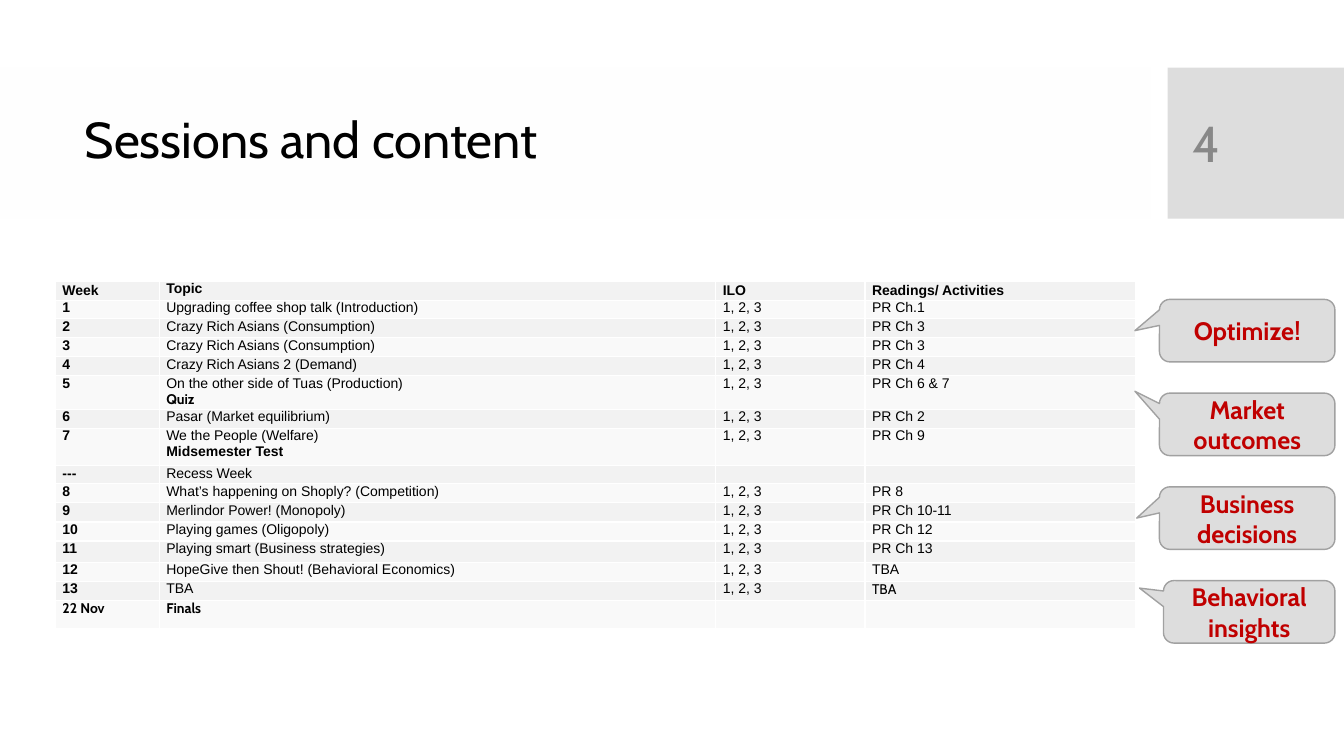
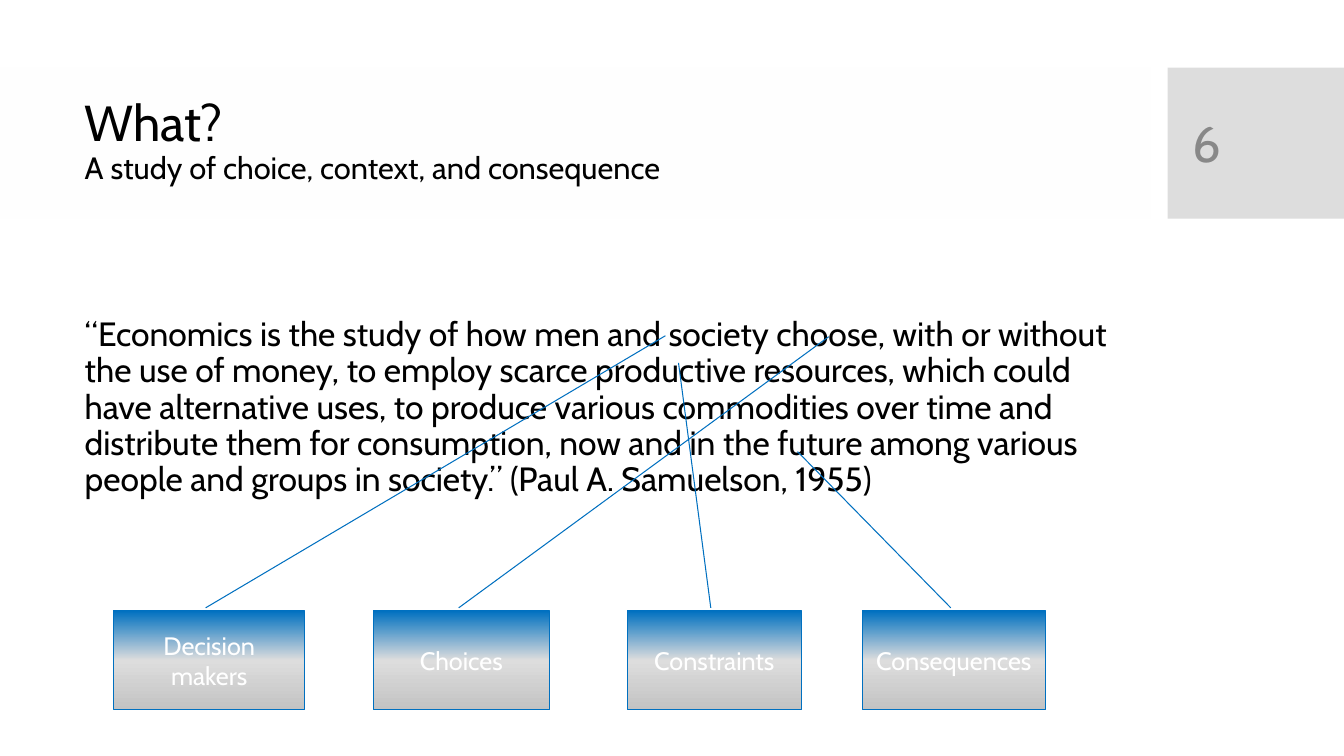
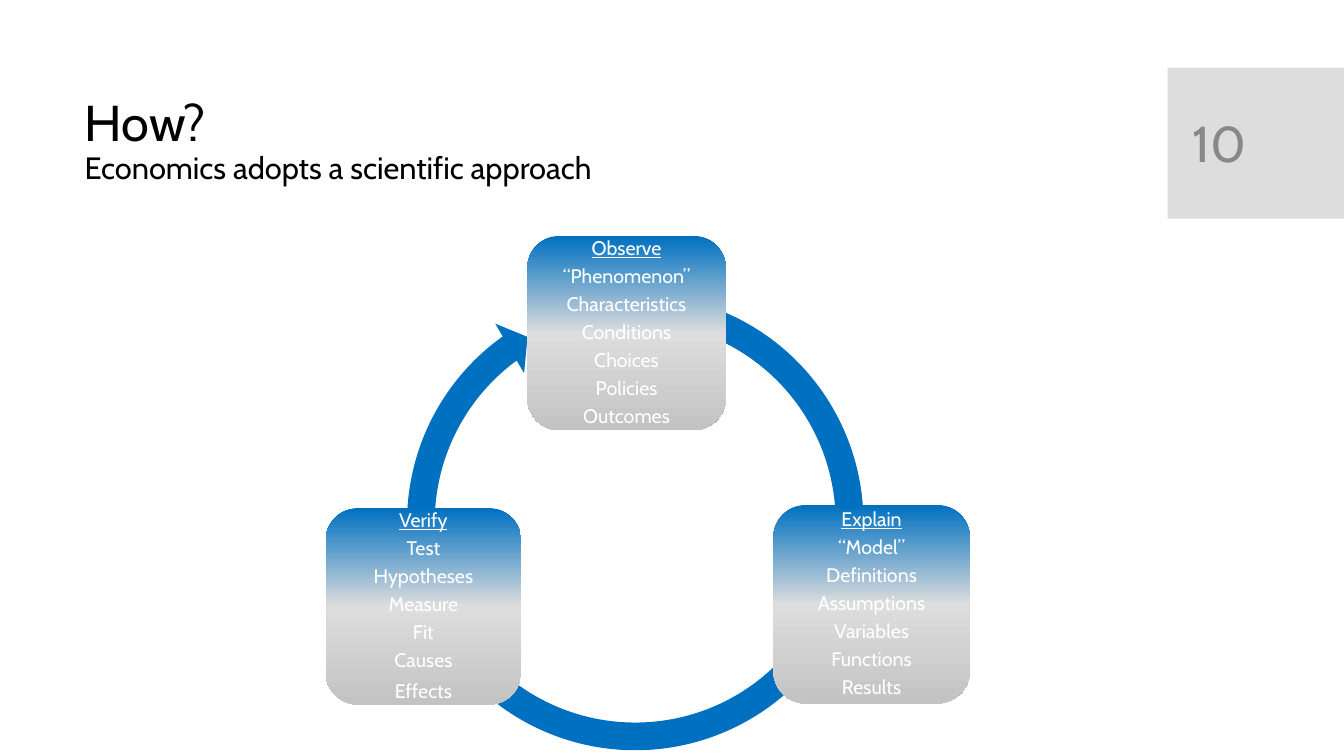
from dataclasses import dataclass

from lxml import etree
from pptx import Presentation
from pptx import util as u
from pptx.dml import color
from pptx.enum import shapes, text
from pptx.oxml import ns

HUES = {
    "ink": "000000", "white": "FFFFFF", "band": "FEFEFE", "grey": "DDDDDD",
    "edge": "A1A1A1", "page": "888888", "red": "C00000", "blue": "0070C0",
    "ash": "C3C3C3", "odd": "F9F9F9", "even": "F2F2F2",
}
FADE = ((0, "blue"), (50, "grey"), (100, "ash"))
KIND = shapes.MSO_SHAPE
MID = text.MSO_ANCHOR.MIDDLE
TOP = text.MSO_ANCHOR.TOP
LEFT = text.PP_ALIGN.LEFT
CENTRE = text.PP_ALIGN.CENTER


@dataclass
class Box:
    left: float
    top: float
    width: float
    height: float

    def inch(self) -> tuple:
        return tuple(u.Inches(v) for v in (self.left, self.top, self.width, self.height))


@dataclass
class Look:
    size: float
    hue: str = "ink"
    font: str = "Cabin"
    bold: bool = False


@dataclass
class Week:
    name: str
    topic: str
    read: str = ""
    test: str = ""
    goal: str = "1, 2, 3"
    high: float = 0.19
    face: str = "Arial"


@dataclass
class Tag:
    words: str
    tip: tuple
    left: float = 11.5


@dataclass
class Term:
    words: str
    left: float
    width: float
    root: float
    tip: tuple


@dataclass
class Card:
    box: Box
    lines: tuple
    last: float = 0.9


WEEKS = (
    Week("1", "Upgrading coffee shop talk (Introduction)", "PR Ch.1", high=0.18),
    Week("2", "Crazy Rich Asians (Consumption)", "PR Ch 3"),
    Week("3", "Crazy Rich Asians (Consumption)", "PR Ch 3"),
    Week("4", "Crazy Rich Asians 2 (Demand)", "PR Ch 4"),
    Week("5", "On the other side of Tuas (Production)", "PR Ch 6 & 7", "Quiz", high=0.33),
    Week("6", "Pasar (Market equilibrium)", "PR Ch 2"),
    Week("7", "We the People (Welfare)", "PR Ch 9", "Midsemester Test", high=0.37),
    Week("---", "Recess Week", goal="", high=0.18),
    Week("8", "What’s happening on Shoply? (Competition)", "PR 8"),
    Week("9", "Merlindor Power! (Monopoly)", "PR Ch 10-11"),
    Week("10", "Playing games (Oligopoly)", "PR Ch 12"),
    Week("11", "Playing smart (Business strategies)", "PR Ch 13", high=0.21),
    Week("12", "HopeGive then Shout! (Behavioral Economics)", "TBA"),
    Week("13", "TBA", "TBA"),
    Week("22 Nov", "", test="Finals", goal="", high=0.28, face="Cabin"),
)
TAGS = (
    Tag("Optimize!", (-0.64, 0)),
    Tag("Market outcomes", (-0.64, -0.53)),
    Tag("Business decisions", (-0.63, 0)),
    Tag("Behavioral insights", (-0.64, -0.38), 11.54),
)
TERMS = (
    Term("Decision makers", 1.13, 1.89, 2.04, (6.6, 3.33)),
    Term("Choices", 3.7, 1.75, 4.55, (8.22, 3.34)),
    Term("Constraints", 6.22, 1.73, 7.05, (6.73, 3.6)),
    Term("Consequences", 8.55, 1.82, 9.43, (7.91, 4.48)),
)
CARDS = (
    Card(Box(5.23, 2.34, 1.97, 1.93), ("Observe", "“Phenomenon”", "Characteristics",
         "Conditions", "Choices", "Policies", "Outcomes")),
    Card(Box(7.67, 5.01, 1.95, 1.97), ("Explain", "“Model”", "Definitions",
         "Assumptions", "Variables", "Functions", "Results")),
    Card(Box(3.23, 5.04, 1.94, 1.95), ("Verify", "Test", "Hypotheses",
         "Measure", "Fit", "Causes", "Effects"), 1),
)
QUOTE = (
    "“Economics is the study of how men and society choose, with or without the use of "
    "money, to employ scarce productive resources, which could have alternative uses, to "
    "produce various commodities over time and distribute them for consumption, now and in "
    "the future among various people and groups in society.” (Paul A. Samuelson, 1955)"
)


def shade(name: str) -> color.RGBColor:
    return color.RGBColor.from_string(HUES[name])


def style(para, *looks: Look) -> None:
    for i, run in enumerate(para.runs):
        look, font = looks[min(i, len(looks) - 1)], run.font
        font.name, font.size, font.bold = look.font, u.Pt(look.size), look.bold
        font.color.rgb = shade(look.hue)
    for gap in para._p.iter(ns.qn("a:br")):
        etree.SubElement(gap, ns.qn("a:rPr"), sz=str(looks[0].size * 100))


def write(frame, words: str, *looks: Look, align=LEFT, anchor=MID,
          pad: tuple = (0.1, 0.05), space: float = 1, gap: float = 0) -> None:
    frame.word_wrap = True
    frame.auto_size = text.MSO_AUTO_SIZE.NONE
    frame.vertical_anchor = anchor
    frame.margin_left = frame.margin_right = u.Inches(pad[0])
    frame.margin_top = frame.margin_bottom = u.Inches(pad[1])
    frame.text = words
    for i, para in enumerate(frame.paragraphs):
        para.alignment, para.line_spacing = align, space
        para.space_before = u.Pt(gap if i else 0)
        style(para, *looks)


def place(shape, box: Box) -> None:
    shape.left, shape.top, shape.width, shape.height = box.inch()


def paint(shape, fill: str, line: str = "", width: float = 1) -> None:
    shape.shadow.inherit = False
    if fill == "fade":
        shape.fill.gradient()
        shape.fill.gradient_angle = 270
        stops = next(shape.element.iter(ns.qn("a:gsLst")))
        for stop in list(stops):
            stops.remove(stop)
        for part, hue in FADE:
            stop = etree.SubElement(stops, ns.qn("a:gs"), pos=str(part * 1000))
            etree.SubElement(stop, ns.qn("a:srgbClr"), val=HUES[hue])
    else:
        shape.fill.solid()
        shape.fill.fore_color.rgb = shade(fill)
    if line:
        shape.line.color.rgb = shade(line)
        shape.line.width = u.Pt(width)
    else:
        shape.line.fill.background()


def draw(slide, kind, box: Box, fill: str, line: str = "", width: float = 1):
    shape = slide.shapes.add_shape(kind, *box.inch())
    paint(shape, fill, line, width)
    return shape


def set_bands(deck, slide) -> None:
    tree = deck.slide_master.shapes.element
    bands = ((Box(0, 0.67, 11.41, 1.5), "band"), (Box(11.58, 0.67, 1.75, 1.5), "grey"))
    for i, (box, hue) in enumerate(bands):
        band = draw(slide, KIND.RECTANGLE, box, hue).element
        band.nvSpPr.cNvPr.set("id", str(20 + i))
        tree.insert(2 + i, band)


def start(deck, plan: int, title: str, page: int):
    slide = deck.slides.add_slide(deck.slide_layouts[plan])
    head = slide.shapes.title
    place(head, Box(0.74, 0.82, 10.51, 1.18))
    write(head.text_frame, title, Look(36), Look(22), space=0.9)
    note = slide.shapes.add_textbox(*Box(11.73, 0.82, 1.26, 1.19).inch())
    write(note.text_frame, str(page), Look(36, "page"))
    return slide


def fill_cell(cell, words: str, looks: tuple, hue: str, anchor) -> None:
    rim = cell._tc.get_or_add_tcPr()
    for side in ("lnL", "lnR", "lnT", "lnB"):
        line = etree.SubElement(rim, ns.qn("a:" + side), w="12700")
        solid = etree.SubElement(line, ns.qn("a:solidFill"))
        etree.SubElement(solid, ns.qn("a:srgbClr"), val=HUES["white"])
    cell.fill.solid()
    cell.fill.fore_color.rgb = shade(hue)
    cell.vertical_anchor = anchor
    cell.margin_left = cell.margin_right = u.Inches(0.07)
    cell.margin_top = cell.margin_bottom = 0
    cell.text_frame.text = words
    for para, look in zip(cell.text_frame.paragraphs, looks):
        style(para, look)
    if not words:
        para = cell.text_frame.paragraphs[0]
        etree.SubElement(para._p, ns.qn("a:endParaRPr"), sz="1000")


def add_weeks(slide) -> None:
    highs = [0.19] + [week.high for week in WEEKS]
    wides = (1.03, 5.52, 1.48, 2.68)
    box = Box(0.55, 2.79, sum(wides), sum(highs))
    grid = slide.shapes.add_table(len(highs), len(wides), *box.inch()).table
    grid.first_row = grid.horz_banding = False
    for col, wide in zip(grid.columns, wides):
        col.width = u.Inches(wide)
    for row, high in zip(grid.rows, highs):
        row.height = u.Inches(high)
    plain, bold = Look(10, font="Arial"), Look(10, font="Arial", bold=True)
    for col, words in enumerate(("Week", "Topic", "ILO", "Readings/ Activities")):
        fill_cell(grid.cell(0, col), words, (bold,), "even", TOP if col == 1 else MID)
    for i, week in enumerate(WEEKS, 1):
        face = "Cabin" if week.test in ("Quiz", "Finals") else "Arial"
        test = Look(10, font=face, bold=True)
        topic = [(words, look) for words, look in ((week.topic, plain), (week.test, test)) if words]
        read = Look(10) if week.name == "13" else plain
        cells = (
            (week.name, (Look(10, font=week.face, bold=True),)),
            ("\n".join(words for words, _ in topic), tuple(look for _, look in topic)),
            (week.goal, (plain,)),
            (week.read, (read,)),
        )
        for col, (words, looks) in enumerate(cells):
            fill_cell(grid.cell(i, col), words, looks, "odd" if i % 2 else "even", TOP)


def add_tags(slide) -> None:
    for i, tag in enumerate(TAGS):
        box = Box(tag.left, 2.97 + i * 0.93, 13.24 - tag.left, 0.62)
        shape = draw(slide, KIND.ROUNDED_RECTANGULAR_CALLOUT, box, "grey", "edge")
        shape.adjustments[0], shape.adjustments[1] = tag.tip
        write(shape.text_frame, tag.words, Look(18, "red", bold=True), align=CENTRE)


def add_quote(slide) -> None:
    body = slide.placeholders[1]
    place(body, Box(0.74, 2.56, 10.51, 3.94))
    write(body.text_frame, QUOTE, Look(24), anchor=TOP, space=0.9)
    body.text_frame.margin_top = u.Inches(0.59)
    props = body.text_frame.paragraphs[0]._p.get_or_add_pPr()
    props.set("marL", "0")
    props.set("indent", "0")
    etree.SubElement(props, ns.qn("a:buNone"))


def add_terms(slide) -> None:
    top, high = 6.06, 0.98
    for term in TERMS:
        box = Box(term.left, top, term.width, high)
        shape = draw(slide, KIND.LINE_CALLOUT_1, box, "fade", "blue", 0.75)
        for i, (x, y) in enumerate(((term.root, 6.03), term.tip)):
            shape.adjustments[2 * i] = (y - top) / high
            shape.adjustments[2 * i + 1] = (x - term.left) / term.width
        write(shape.text_frame, term.words, Look(18, "white"), align=CENTRE)


def add_ring(slide) -> None:
    ring = draw(slide, KIND.CIRCULAR_ARROW, Box(3.89, 2.77, 4.82, 4.82), "blue")
    thick, wing, point, end, begin = 0.057, 0.059, 5.68, 234.15, 287
    turn = 0.6
    for i, size in enumerate((thick, point * turn, end * turn, begin * turn, wing)):
        ring.adjustments[i] = size


def add_cards(slide) -> None:
    for card in CARDS:
        shape = draw(slide, KIND.ROUNDED_RECTANGLE, card.box, "fade")
        frame = shape.text_frame
        write(frame, "\n".join(card.lines), Look(14, "white"), align=CENTRE,
              pad=(0.06, 0.06), space=0.9, gap=4.9)
        frame.paragraphs[0].runs[0].font.underline = True
        frame.paragraphs[-1].line_spacing = card.last


def main() -> None:
    deck = Presentation()
    deck.slide_width, deck.slide_height = u.Inches(13.33), u.Inches(7.5)

    plan = start(deck, 5, "Sessions and content", 4)
    set_bands(deck, plan)
    add_weeks(plan)
    add_tags(plan)

    what = start(deck, 1, "What?\vA study of choice, context, and consequence", 6)
    add_quote(what)
    add_terms(what)

    how = start(deck, 5, "How?\vEconomics adopts a scientific approach", 10)
    add_ring(how)
    add_cards(how)

    deck.save("out.pptx")


if __name__ == "__main__":
    main()
